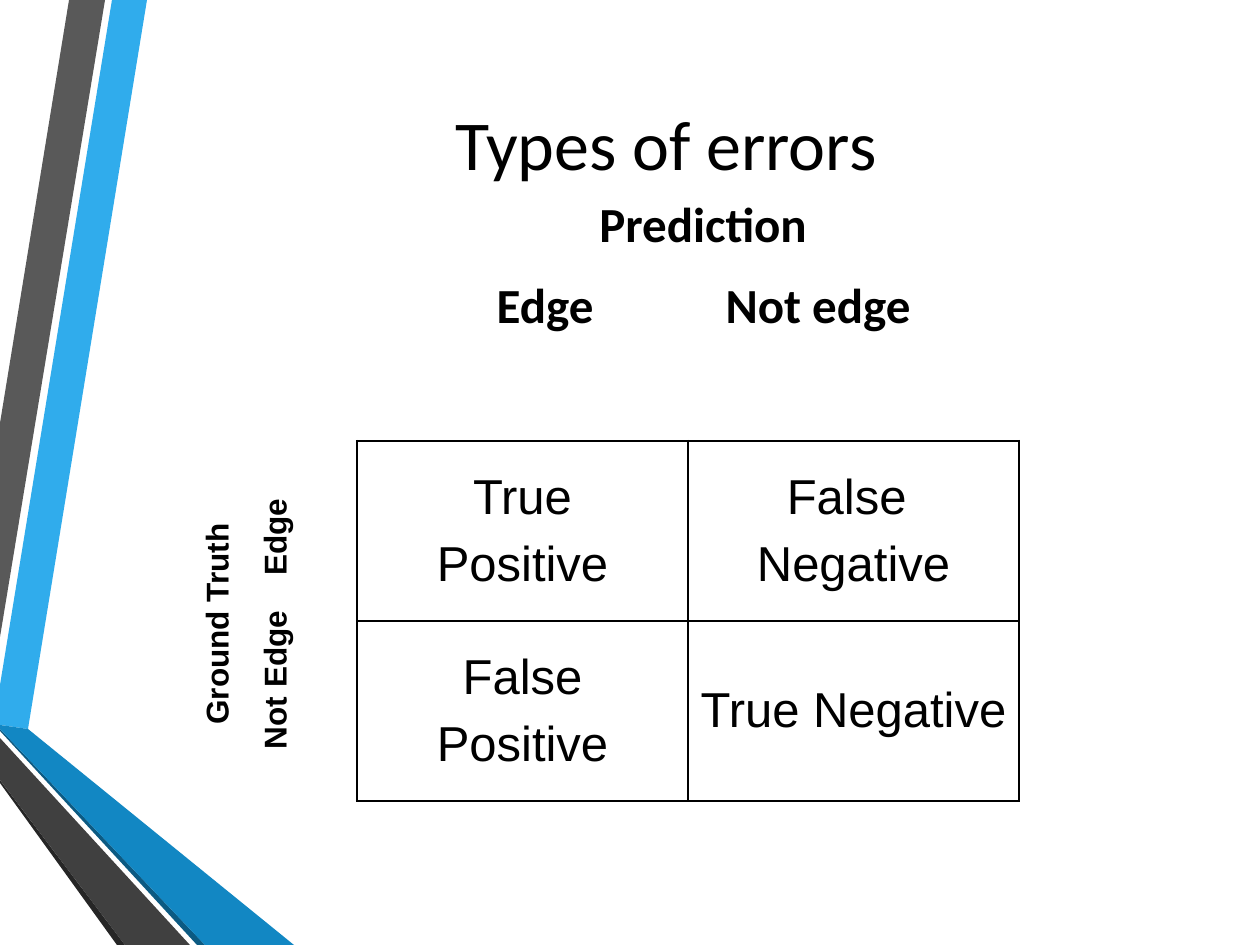
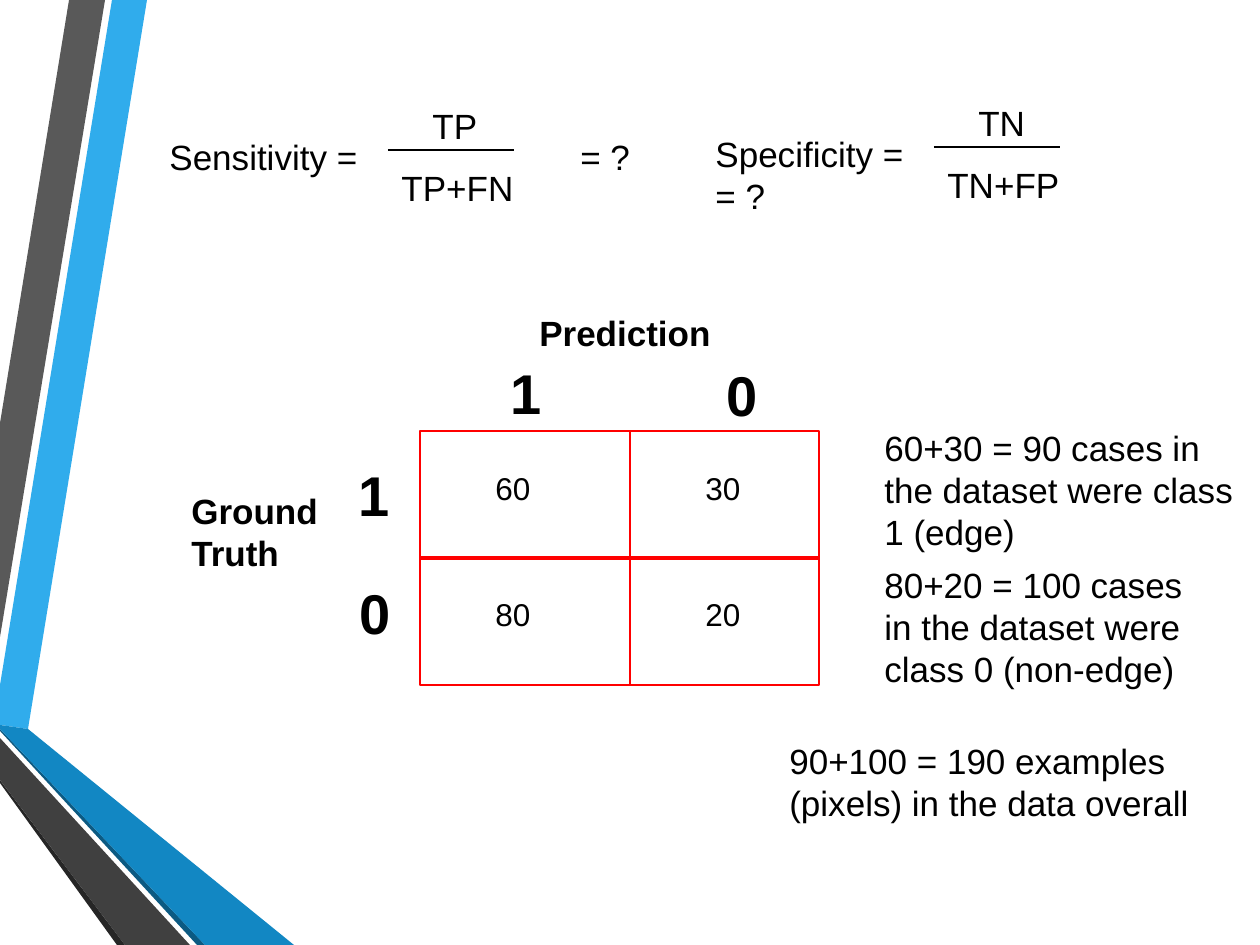
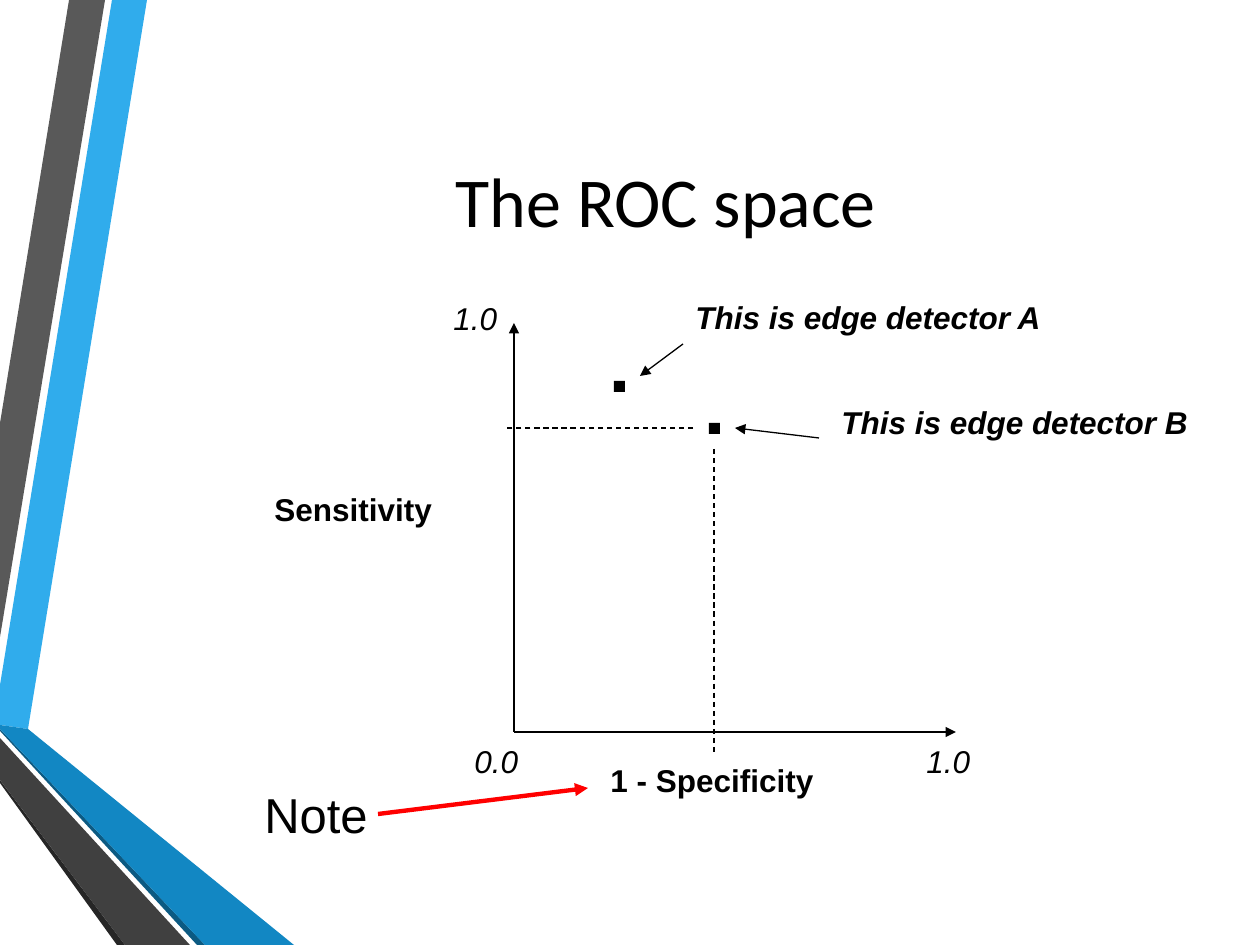
from lxml import etree
from pptx import Presentation
from pptx import util as u
from pptx.dml.color import RGBColor
from pptx.enum import dml, shapes, text
from pptx.oxml.ns import qn

SCALE = 914400 / 126  # EMU in one px
BLACK = RGBColor(0x00, 0x00, 0x00)
RED = RGBColor(0xFF, 0x00, 0x00)
LIGHT_BLUE = RGBColor(0x30, 0xAC, 0xEC)
MID_BLUE = RGBColor(0x12, 0x87, 0xC3)
DEEP_BLUE = RGBColor(0x0C, 0x5A, 0x82)
GREY = RGBColor(0x59, 0x59, 0x59)
DARK_GREY = RGBColor(0x40, 0x40, 0x40)
NEAR_BLACK = RGBColor(0x26, 0x26, 0x26)
BODY_FONT, TITLE_FONT = "Arial", "Calibri"
LEFT, CENTER = text.PP_ALIGN.LEFT, text.PP_ALIGN.CENTER
TITLE_ONLY, BLANK = 5, 6

BANDS = [
    (LIGHT_BLUE, [(0, 685), (0, 725), (28, 729), (147, 0), (112, 0)]),
    (GREY, [(105, 0), (69, 0), (0, 423), (0, 637)]),
    (NEAR_BLACK, [(0, 780), (0, 783), (117, 945), (125, 945)]),
    (DEEP_BLUE, [(0, 729), (0, 731), (197, 945), (205, 945)]),
    (MID_BLUE, [(0, 729), (205, 945), (294, 945), (28, 729), (0, 725)]),
    (DARK_GREY, [(0, 780), (125, 945), (190, 945), (0, 738)]),
]


def px(length):
    return u.Emu(round(length * SCALE))


def add_run(paragraph, words, size, bold=False, italic=False, font=BODY_FONT):
    run = paragraph.add_run()
    run.text = words
    run.font.name = font
    run.font.size = u.Pt(size)
    run.font.bold = bold
    run.font.italic = italic
    run.font.color.rgb = BLACK


def add_label(slide, words, left, top, width, height, size=20, align=LEFT,
              rotation=0, **style):
    shape = slide.shapes.add_textbox(*map(px, (left, top, width, height)))
    shape.rotation = rotation
    frame = shape.text_frame
    frame.word_wrap = True
    frame.vertical_anchor = text.MSO_ANCHOR.MIDDLE
    paragraph = frame.paragraphs[0]
    paragraph.alignment = align
    add_run(paragraph, words, size, **style)


def add_line(slide, start, end, color=BLACK, width=0.75, arrow=False, dashed=False):
    line = slide.shapes.add_connector(
        shapes.MSO_CONNECTOR.STRAIGHT, *map(px, (*start, *end)))
    line.line.color.rgb = color
    line.line.width = u.Pt(width)
    if dashed:
        line.line.dash_style = dml.MSO_LINE.DASH
    properties = line.element.spPr
    if arrow:
        etree.SubElement(properties.find(qn("a:ln")), qn("a:tailEnd"), type="triangle")
    etree.SubElement(properties, qn("a:effectLst"))


def add_rectangle(slide, left, top, width, height):
    shape = slide.shapes.add_shape(
        shapes.MSO_SHAPE.RECTANGLE, *map(px, (left, top, width, height)))
    shape.shadow.inherit = False
    return shape


def add_title_slide(presentation, words, height):
    slide = presentation.slides.add_slide(presentation.slide_layouts[TITLE_ONLY])
    title = slide.shapes.title
    title.left, title.top, title.width, title.height = map(px, (135, 63, 1062, height))
    title.text_frame.vertical_anchor = text.MSO_ANCHOR.MIDDLE
    paragraph = title.text_frame.paragraphs[0]
    paragraph.alignment = CENTER
    add_run(paragraph, words, 40, font=TITLE_FONT)
    return slide


def move_bands_to_master(presentation, slide):
    """Draw the side bands on a slide, then hand them to the master for all slides."""
    master_tree = presentation.slide_master.element.cSld.spTree
    for color, points in BANDS:
        builder = slide.shapes.build_freeform(*points[0], scale=SCALE)
        builder.add_line_segments(points[1:], close=True)
        band = builder.convert_to_shape()
        band.shadow.inherit = False
        band.fill.solid()
        band.fill.fore_color.rgb = color
        band.line.fill.background()
        master_tree.append(band.element)


def add_cell_borders(cell):
    properties = cell._tc.get_or_add_tcPr()
    for index, side in enumerate(("lnL", "lnR", "lnT", "lnB")):
        border = etree.Element(qn(f"a:{side}"), w=str(u.Pt(1.5)))
        fill = etree.SubElement(border, qn("a:solidFill"))
        etree.SubElement(fill, qn("a:srgbClr"), val=str(BLACK))
        properties.insert(index, border)


def add_error_table(slide, left, top, width, height):
    rows = [[("True", "Positive"), ("False ", "Negative")],
            [("False", "Positive"), ("True Negative",)]]
    frame = slide.shapes.add_table(2, 2, *map(px, (left, top, width, height)))
    table = frame.table
    table.first_row = table.horz_banding = False
    for row, row_words in enumerate(rows):
        for column, lines in enumerate(row_words):
            cell = table.cell(row, column)
            cell.fill.background()
            cell.vertical_anchor = text.MSO_ANCHOR.MIDDLE
            cell.margin_left = cell.margin_right = px(8)
            for index, line in enumerate(lines):
                frame = cell.text_frame
                paragraph = frame.add_paragraph() if index else frame.paragraphs[0]
                paragraph.alignment = CENTER
                paragraph.space_before = u.Pt(7)
                add_run(paragraph, line, 28)
            add_cell_borders(cell)


def build_errors_slide(presentation):
    slide = add_title_slide(presentation, "Types of errors", 158)
    for words, center, middle in (
            ("Prediction", 703, 223), ("Edge", 545, 304), ("Not edge", 818, 304)):
        add_label(slide, words, center - 130, middle - 37, 260, 74, 28, CENTER,
                  bold=True, font=TITLE_FONT)
    add_error_table(slide, 357, 441, 662, 360)
    for words, center, middle in (
            ("Ground Truth", 216, 624), ("Not Edge", 274, 680), ("Edge", 274, 537)):
        add_label(slide, words, center - 120, middle - 25, 240, 50, 18, CENTER,
                  rotation=270, bold=True)
    return slide


def add_ratio(slide, left, top, name, numerator, denominator, result_offset):
    add_label(slide, f"{name} =", left, top, 230, 55)
    add_label(slide, numerator, left + 263, top - 31, 105, 55)
    add_line(slide, (left + 231, top + 21), (left + 357, top + 21))
    add_label(slide, denominator, left + 232, top + 31, 160, 55)
    add_label(slide, "= ?", left + result_offset[0], top + result_offset[1], 100, 55)


def add_confusion_matrix(slide, left, top):
    widths, row_step = (210, 189), 126
    for row, counts in enumerate((("60", "30"), ("80", "20"))):
        for column, count in enumerate(counts):
            cell_left, cell_top = left + column * widths[0], top + row * row_step
            cell = add_rectangle(slide, cell_left, cell_top, widths[column], 128)
            cell.fill.background()
            cell.line.color.rgb = RED
            cell.line.width = u.Pt(1.5)
            add_label(slide, count, cell_left + 63, cell_top + 32, 105, 50, 18)
    for words, x, y in (("1", 78, -79), ("0", 294, -77), ("1", -74, 23), ("0", -73, 141)):
        add_label(slide, words, left + x, top + y, 70, 81, 32, bold=True)
    add_label(slide, "Prediction", left + 63, top - 126, 284, 55, align=CENTER, bold=True)
    add_label(slide, "Ground Truth", left - 241, top + 52, 199, 97, bold=True)


def build_rates_slide(presentation):
    slide = presentation.slides.add_slide(presentation.slide_layouts[BLANK])
    add_ratio(slide, 157, 129, "Sensitivity", "TP", "TP+FN", (411, 0))
    add_ratio(slide, 703, 126, "Specificity", "TN", "TN+FP", (0, 42))
    add_confusion_matrix(slide, 420, 431)
    add_label(slide, "60+30 = 90 cases in the dataset were class 1 (edge)",
              872, 420, 388, 139)
    add_label(slide, "80+20 = 100 cases in the dataset were class 0 (non-edge)",
              872, 557, 325, 139)
    add_label(slide, "90+100 = 190 examples (pixels) in the data overall",
              777, 733, 441, 97)


def add_roc_plot(slide, left, top, width, height):
    bottom, right = top + height, left + width
    origin = (left, bottom)
    add_line(slide, origin, (left, top), arrow=True)
    add_line(slide, origin, (right, bottom), arrow=True)
    for words, x, y in (("1.0", left - 73, top - 30), ("0.0", left - 52, bottom + 4),
                        ("1.0", right - 42, bottom + 4)):
        add_label(slide, words, x, y, 80, 50, 18, italic=True)
    add_label(slide, "Sensitivity", left - 252, top + 161, 242, 50, 18, bold=True)
    add_label(slide, "1 - Specificity", left + 84, bottom + 23, 336, 50, 18, bold=True)

    detector_a, detector_b = (left + 105, top + 63), (left + 200, top + 105)
    for x, y in (detector_a, detector_b):
        marker = add_rectangle(slide, x - 5, y - 5, 11, 11)
        marker.fill.solid()
        marker.fill.fore_color.rgb = BLACK
        marker.line.fill.background()
    x, y = detector_b
    add_line(slide, (x, y + 21), (x, bottom + 21), dashed=True)
    add_line(slide, (x - 21, y), (left - 7, y), dashed=True)
    add_line(slide, (x + 105, y + 10), (x + 21, y), arrow=True)
    add_label(slide, "This is edge detector B", x + 115, y - 31, 400, 50, 18,
              bold=True, italic=True)
    x, y = detector_a
    add_line(slide, (x + 64, y - 42), (x + 21, y - 10), arrow=True)
    add_label(slide, "This is edge detector A", x + 64, y - 94, 400, 50, 18,
              bold=True, italic=True)


def build_roc_slide(presentation):
    slide = add_title_slide(presentation, "The ROC space", 273)
    add_roc_plot(slide, 514, 323, 442, 409)
    add_line(slide, (378, 814), (588, 788), RED, 2.5, arrow=True)
    add_label(slide, "Note", 252, 778, 199, 72, 28)


def main():
    presentation = Presentation()
    presentation.slide_width, presentation.slide_height = px(1260), px(945)
    first_slide = build_errors_slide(presentation)
    move_bands_to_master(presentation, first_slide)
    build_rates_slide(presentation)
    build_roc_slide(presentation)
    presentation.save("out.pptx")


if __name__ == "__main__":
    main()
